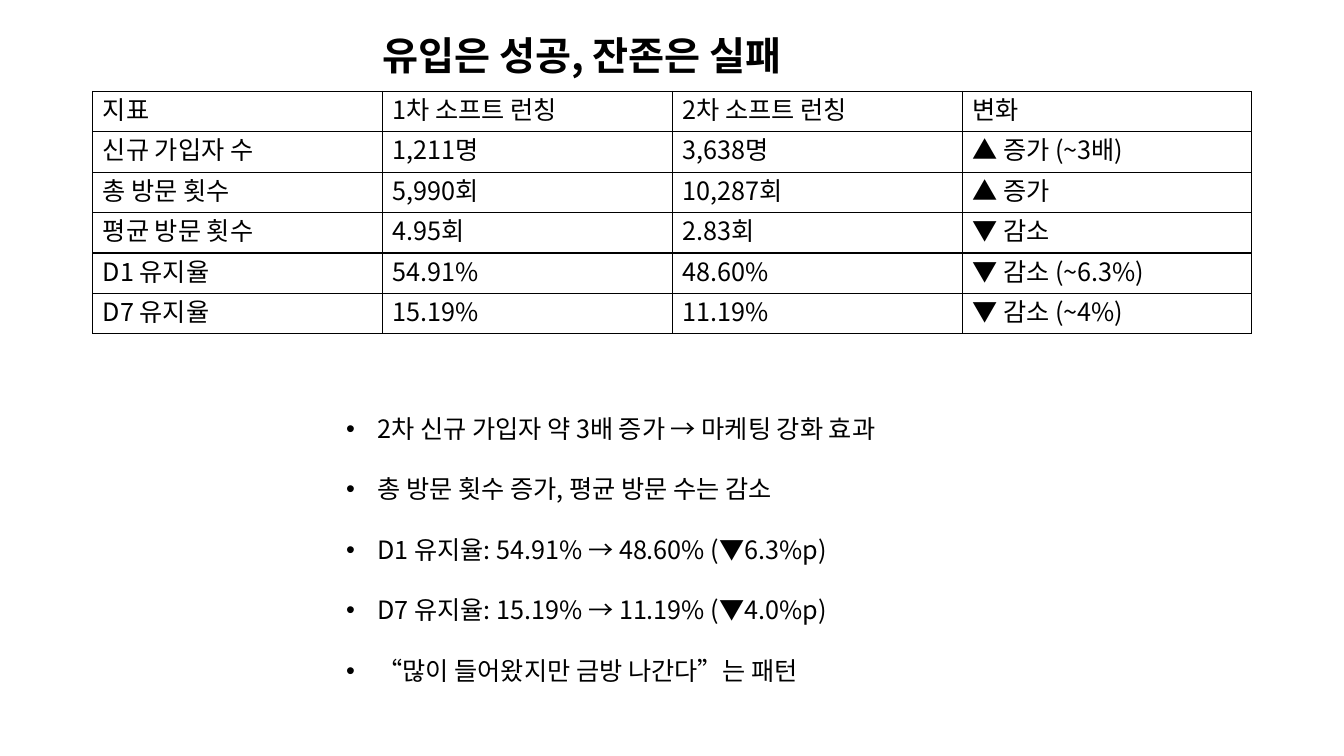
from dataclasses import dataclass

from lxml import etree
from pptx import Presentation
from pptx.dml.color import RGBColor
from pptx.enum.text import MSO_ANCHOR, MSO_AUTO_SIZE, PP_ALIGN
from pptx.oxml.ns import qn
from pptx.util import Inches, Pt

TOP, MIDDLE = MSO_ANCHOR.TOP, MSO_ANCHOR.MIDDLE
GROW = MSO_AUTO_SIZE.SHAPE_TO_FIT_TEXT
LEFT = PP_ALIGN.LEFT
TITLE_AND_CONTENT = 1


@dataclass(frozen=True)
class Theme:
    font: str = "Noto Sans CJK KR"
    ink: str = "000000"
    title_size: int = 28
    body_size: int = 18
    line_height: float = 1.2
    border: int = 1
    indent: float = 0.31


THEME = Theme()
SLIDE_WIDTH, SLIDE_HEIGHT = Inches(13.333), Inches(7.5)
ROW_HEIGHT = Inches(0.4)

TITLE = "유입은 성공, 잔존은 실패"
METRICS = [
    ["지표", "1차 소프트 런칭", "2차 소프트 런칭", "변화"],
    ["신규 가입자 수", "1,211명", "3,638명", "▲ 증가 (~3배)"],
    ["총 방문 횟수", "5,990회", "10,287회", "▲ 증가"],
    ["평균 방문 횟수", "4.95회", "2.83회", "▼ 감소"],
    ["D1 유지율", "54.91%", "48.60%", "▼ 감소 (~6.3%)"],
    ["D7 유지율", "15.19%", "11.19%", "▼ 감소 (~4%)"],
]
FINDINGS = [
    "2차 신규 가입자 약 3배 증가 → 마케팅 강화 효과",
    "총 방문 횟수 증가, 평균 방문 수는 감소",
    "D1 유지율: 54.91% → 48.60% (▼6.3%p)",
    "D7 유지율: 15.19% → 11.19% (▼4.0%p)",
    "“많이 들어왔지만 금방 나간다”는 패턴",
]


def write_text(paragraph, text, size=THEME.body_size, bold=False, lines=1, bullet=False):
    paragraph.alignment = LEFT
    paragraph.space_before = paragraph.space_after = Pt(0)
    paragraph.line_spacing = Pt(size * THEME.line_height * lines)
    run = paragraph.add_run()
    run.text = text
    run.font.size = Pt(size)
    run.font.bold = bold
    run.font.color.rgb = RGBColor.from_string(THEME.ink)
    run.font.name = THEME.font
    properties = run.font._element
    etree.SubElement(properties, qn("a:ea"), typeface=THEME.font)
    if bullet:
        add_bullet(paragraph)


def add_bullet(paragraph):
    properties = paragraph._p.get_or_add_pPr()
    indent = Inches(THEME.indent)
    properties.set("marL", str(indent))
    properties.set("indent", str(-indent))
    etree.SubElement(properties, qn("a:buFont"), typeface="Arial")
    etree.SubElement(properties, qn("a:buChar"), char="•")


def place_text(placeholder, texts, left, top, width, height, **text_format):
    placeholder.left, placeholder.width = int(SLIDE_WIDTH * left), int(SLIDE_WIDTH * width)
    placeholder.top, placeholder.height = int(SLIDE_HEIGHT * top), int(SLIDE_HEIGHT * height)
    frame = placeholder.text_frame
    frame.word_wrap = True
    frame.auto_size = GROW
    frame.vertical_anchor = TOP
    for index, text in enumerate(texts):
        paragraph = frame.add_paragraph() if index else frame.paragraphs[0]
        write_text(paragraph, text, **text_format)


def draw_borders(cell):
    properties = cell._tc.get_or_add_tcPr()
    for side in ("lnL", "lnR", "lnT", "lnB"):
        line = etree.SubElement(properties, qn(f"a:{side}"), w=str(Pt(THEME.border)))
        fill = etree.SubElement(line, qn("a:solidFill"))
        etree.SubElement(fill, qn("a:srgbClr"), val=THEME.ink)


def add_metric_table(slide, records, left, top, width):
    frame = slide.shapes.add_table(
        len(records), len(records[0]),
        int(SLIDE_WIDTH * left), int(SLIDE_HEIGHT * top),
        int(SLIDE_WIDTH * width), ROW_HEIGHT * len(records),
    )
    table = frame.table
    table.first_row = table.horz_banding = False
    for row, record in zip(table.rows, records):
        row.height = ROW_HEIGHT
        for cell, text in zip(row.cells, record):
            cell.vertical_anchor = MIDDLE
            write_text(cell.text_frame.paragraphs[0], text)
            draw_borders(cell)
            cell.fill.background()


def main():
    presentation = Presentation()
    presentation.slide_width, presentation.slide_height = SLIDE_WIDTH, SLIDE_HEIGHT
    slide = presentation.slides.add_slide(presentation.slide_layouts[TITLE_AND_CONTENT])
    title, body = slide.placeholders
    place_text(title, [TITLE], 0.277, 0.035, 0.5, 0.076, size=THEME.title_size, bold=True)
    add_metric_table(slide, METRICS, 0.069, 0.121, 0.8625)
    place_text(body, FINDINGS, 0.25, 0.5, 0.5, 0.404, lines=2, bullet=True)
    presentation.save("out.pptx")


if __name__ == "__main__":
    main()
